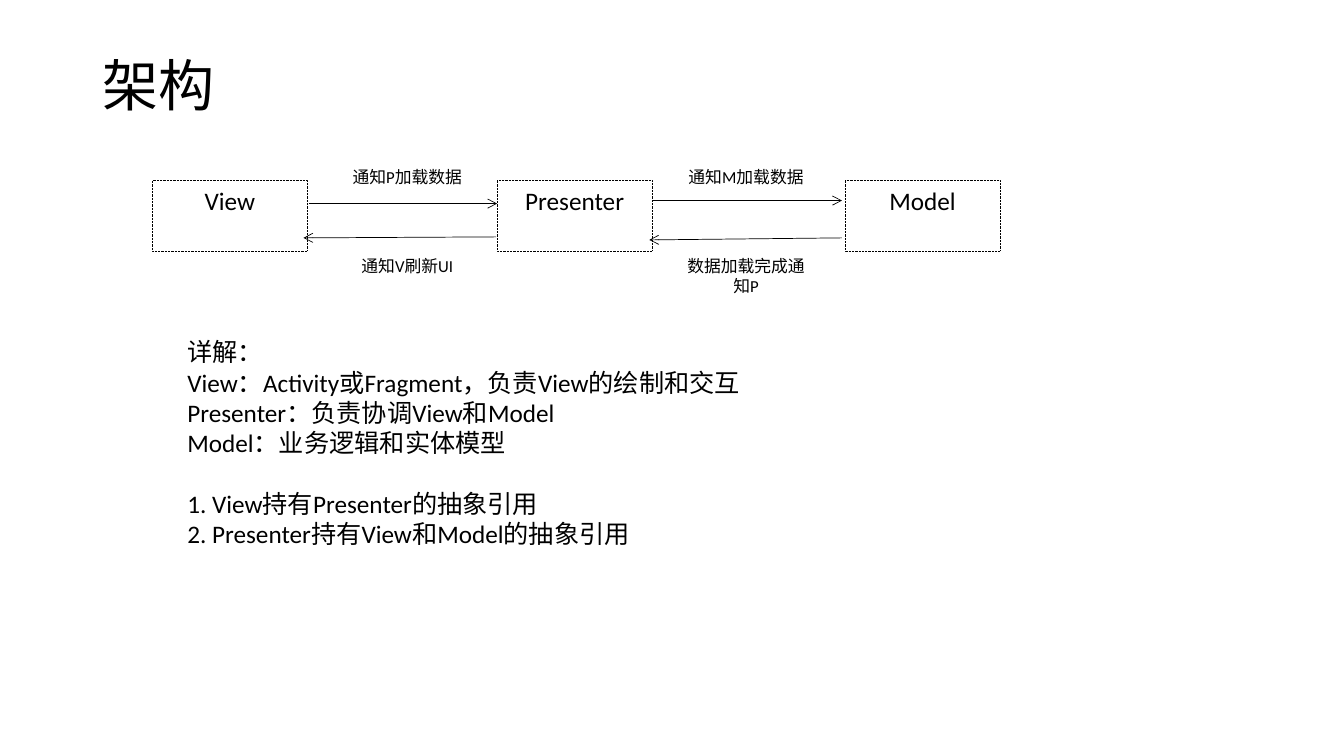
from dataclasses import dataclass

import lxml.etree
import pptx
import pptx.dml.color
import pptx.enum.dml
import pptx.enum.shapes
import pptx.enum.text
import pptx.oxml.ns
import pptx.util

Inches = pptx.util.Inches
Pt = pptx.util.Pt
ALIGN = pptx.enum.text.PP_ALIGN
ANCHOR = pptx.enum.text.MSO_ANCHOR


@dataclass(frozen=True)
class Theme:
    font: str = "Calibri"
    ink: pptx.dml.color.RGBColor = pptx.dml.color.RGBColor(0, 0, 0)
    title: float = 40
    body: float = 18
    label: float = 12
    line: float = 0.5


class SlideBuilder:
    def __init__(self, slide, theme):
        self.slide = slide
        self.theme = theme

    def set_text(self, sp, text, size, align, anchor=ANCHOR.TOP):
        tf = sp.text_frame
        tf.word_wrap = True
        tf.vertical_anchor = anchor
        tf.text = text
        for p in tf.paragraphs:
            p.alignment = align
            for r in p.runs:
                r.font.name = self.theme.font
                r.font.size = Pt(size)
                r.font.color.rgb = self.theme.ink
        return tf

    def text(self, x, y, w, h, text, size, align=ALIGN.LEFT, anchor=ANCHOR.TOP):
        sp = self.slide.shapes.add_textbox(Inches(x), Inches(y), Inches(w), Inches(h))
        return self.set_text(sp, text, size, align, anchor)

    def outline(self, line):
        line.color.rgb = self.theme.ink
        line.width = Pt(self.theme.line)

    def box(self, x, y, w, h, text):
        sp = self.slide.shapes.add_shape(
            pptx.enum.shapes.MSO_SHAPE.RECTANGLE,
            Inches(x), Inches(y), Inches(w), Inches(h))
        sp.shadow.inherit = False
        sp.fill.background()
        self.outline(sp.line)
        sp.line.dash_style = pptx.enum.dml.MSO_LINE.ROUND_DOT
        self.set_text(sp, text, self.theme.body, ALIGN.CENTER)

    def arrow(self, x1, y1, x2, y2):
        cxn = self.slide.shapes.add_connector(
            pptx.enum.shapes.MSO_CONNECTOR.STRAIGHT,
            Inches(x1), Inches(y1), Inches(x2), Inches(y2))
        self.outline(cxn.line)
        qn = pptx.oxml.ns.qn
        sp_pr = cxn._element.spPr
        lxml.etree.SubElement(sp_pr.find(qn("a:ln")), qn("a:tailEnd"), type="arrow")
        lxml.etree.SubElement(sp_pr, qn("a:effectLst"))


def main():
    prs = pptx.Presentation()
    prs.slide_width, prs.slide_height = Inches(13.33), Inches(7.5)
    theme = Theme()
    s = SlideBuilder(prs.slides.add_slide(prs.slide_layouts[6]), theme)

    title = s.text(0.92, 0.4, 11.5, 0.95, "架构", theme.title, anchor=ANCHOR.MIDDLE)
    title.paragraphs[0].line_spacing = 0.9

    for name, x in (("View", 1.51), ("Presenter", 4.93), ("Model", 8.38)):
        s.box(x, 1.79, 1.54, 0.7, name)

    for ends in ((3.06, 2.02, 4.93, 2.02), (6.47, 1.99, 8.35, 1.99),
                 (4.92, 2.35, 3.01, 2.36), (8.35, 2.36, 6.44, 2.38)):
        s.arrow(*ends)

    for x, request, reply in ((3.31, "通知P加载数据", "通知V刷新UI"),
                              (6.67, "通知M加载数据", "数据加载完成通知P")):
        for y, label in ((1.61, request), (2.49, reply)):
            s.text(x, y, 1.46, 0.3, label, theme.label, ALIGN.CENTER)

    details = (
        "详解：",
        "View：Activity或Fragment，负责View的绘制和交互",
        "Presenter：负责协调View和Model",
        "Model：业务逻辑和实体模型",
        "1. View持有Presenter的抽象引用",
        "2. Presenter持有View和Model的抽象引用",
    )
    tf = s.text(1.76, 3.29, 9.21, 2.2, "\n".join(details), theme.body)
    tf.paragraphs[4].space_before = Pt(22)

    prs.save("out.pptx")


if __name__ == "__main__":
    main()
